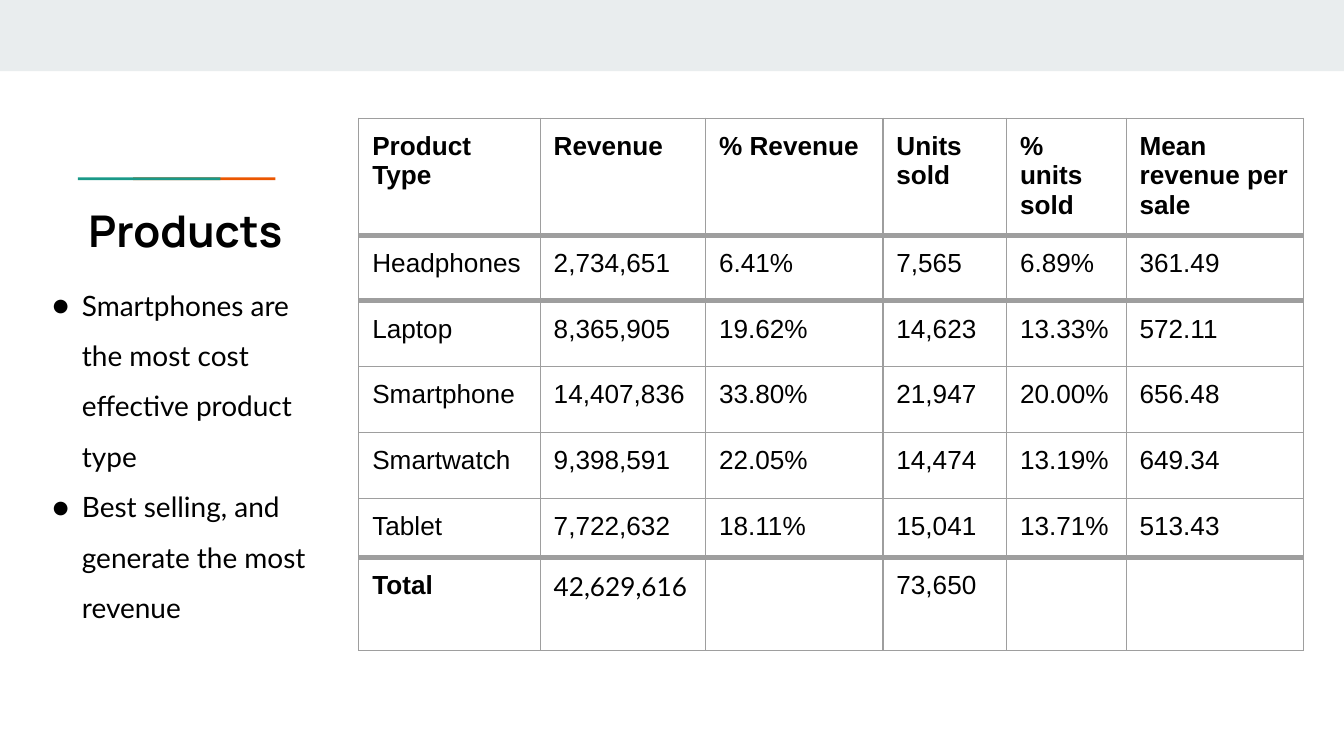
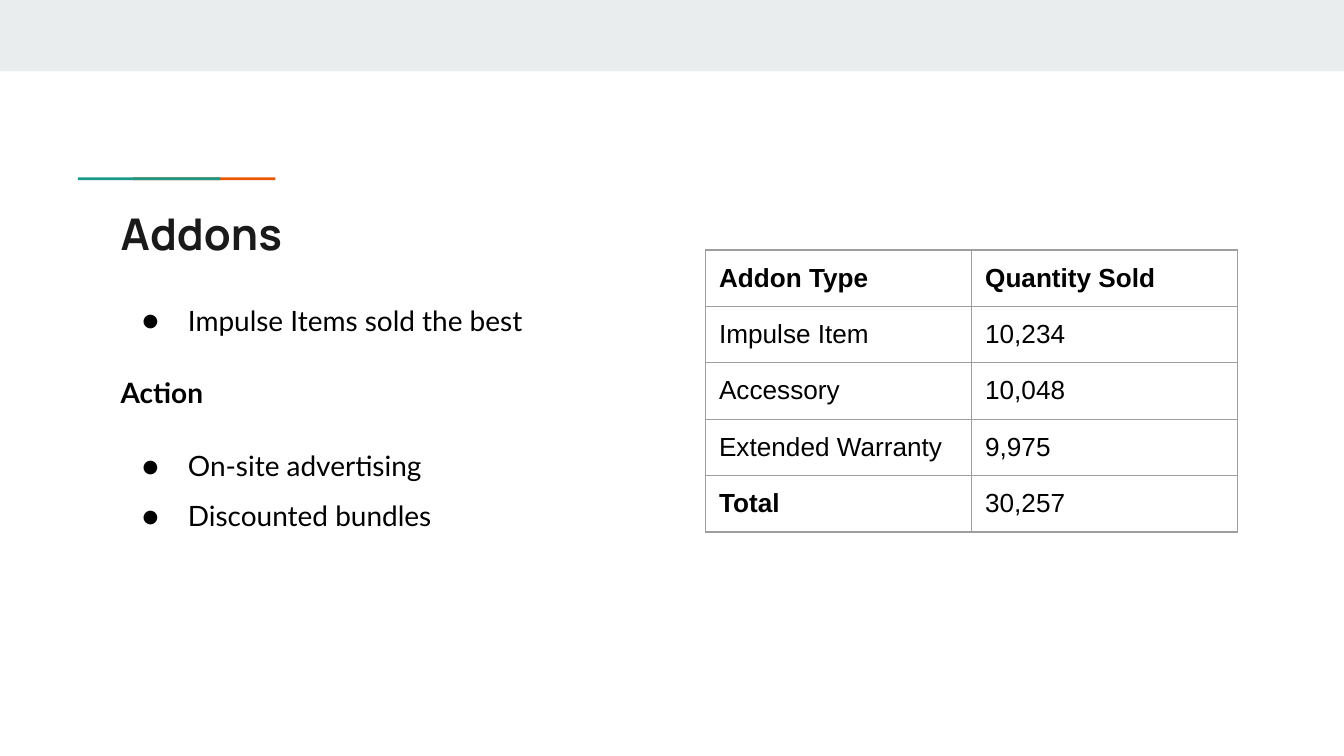
from lxml import etree
from pptx import Presentation
from pptx.dml.color import RGBColor
from pptx.enum import shapes, text
from pptx.oxml import ns
from pptx.util import Inches, Pt

BLACK = RGBColor(0x00, 0x00, 0x00)
INK = RGBColor(0x1A, 0x1A, 0x1A)
BAND = RGBColor(0xE9, 0xED, 0xEE)
TEAL = RGBColor(0x1A, 0x99, 0x88)
ORANGE = RGBColor(0xEB, 0x56, 0x00)
GRID = RGBColor(0x9E, 0x9E, 0x9E)
HEAD, BODY, CELL = "Manrope", "Lato", "Arial"
THIN, THICK = 0.75, 3

SALES = [
    ["Product Type", "Revenue", "% Revenue", "Units sold", "% units sold",
     "Mean revenue per sale"],
    ["Headphones", "2,734,651", "6.41%", "7,565", "6.89%", "361.49"],
    ["Laptop", "8,365,905", "19.62%", "14,623", "13.33%", "572.11"],
    ["Smartphone", "14,407,836", "33.80%", "21,947", "20.00%", "656.48"],
    ["Smartwatch", "9,398,591", "22.05%", "14,474", "13.19%", "649.34"],
    ["Tablet", "7,722,632", "18.11%", "15,041", "13.71%", "513.43"],
    ["Total", "42,629,616", "", "73,650", "", ""],
]
ADDONS = [
    ["Addon Type", "Quantity Sold"],
    ["Impulse Item", "10,234"],
    ["Accessory", "10,048"],
    ["Extended Warranty", "9,975"],
    ["Total", "30,257"],
]


def add(parent, tag, **attrs):
    return etree.SubElement(parent, ns.qn(tag), **attrs)


class Deck:
    def __init__(self):
        self.prs = Presentation()
        self.prs.slide_width = Inches(10)
        self.prs.slide_height = Inches(10) * 9 // 16
        self.slide = None

    def page(self):
        self.slide = self.prs.slides.add_slide(self.prs.slide_layouts[6])
        self.rect(0, 0, 10, 0.53, BAND)
        self.rect(0.99, 1.32, 1.06, 0.02, ORANGE)
        self.rect(0.58, 1.32, 1.06, 0.02, TEAL)

    def rect(self, left, top, width, height, color):
        box = self.slide.shapes.add_shape(
            shapes.MSO_SHAPE.RECTANGLE,
            Inches(left), Inches(top), Inches(width), Inches(height))
        box.shadow.inherit = False
        box.fill.solid()
        box.fill.fore_color.rgb = color
        box.line.fill.background()

    def style(self, para, font, size, bold=False, color=BLACK):
        for run in para.runs:
            run.font.name = font
            run.font.size = Pt(size)
            run.font.bold = bold
            run.font.color.rgb = color

    def frame(self, left, top, width, height, inset=0.1):
        box = self.slide.shapes.add_textbox(
            Inches(left), Inches(top), Inches(width), Inches(height))
        frame = box.text_frame
        frame.word_wrap = True
        frame.auto_size = text.MSO_AUTO_SIZE.NONE
        frame.vertical_anchor = text.MSO_ANCHOR.TOP
        frame.margin_left = frame.margin_top = Inches(inset)
        frame.margin_right = frame.margin_bottom = Inches(0.1)
        return frame

    def title(self, words, left, top, color):
        frame = self.frame(left, top, 8.41, 0.59)
        frame.text = words
        self.style(frame.paragraphs[0], HEAD, 23.4, True, color)

    def bullet(self, para, margin, indent):
        props = para._p.get_or_add_pPr()
        props.set("marL", str(Inches(margin)))
        props.set("indent", str(Inches(indent)))
        tint = add(props, "a:buClr")
        add(tint, "a:srgbClr", val=str(BLACK))
        add(props, "a:buFont", typeface=BODY)
        add(props, "a:buChar", char="●")

    def body(self, place, items, margin, indent, inset=0.1):
        frame = self.frame(*place, inset)
        frame.text = "\n".join(words for words, *_ in items)
        for para, (_, listed, gap) in zip(frame.paragraphs, items):
            if listed:
                self.bullet(para, margin, indent)
            para.line_spacing = 1.5
            para.space_before = Pt(gap)
            self.style(para, BODY, 15, not listed)

    def border(self, cell, above, below):
        props = cell._tc.get_or_add_tcPr()
        for side, width in zip("LRTB", (THIN, THIN, above, below)):
            line = add(props, f"a:ln{side}", w=str(Pt(width)))
            fill = add(line, "a:solidFill")
            add(fill, "a:srgbClr", val=str(GRID))

    def table(self, left, top, cols, rows, data, thick=()):
        table = self.slide.shapes.add_table(
            len(rows), len(cols), Inches(left), Inches(top),
            Inches(sum(cols)), Inches(sum(rows))).table
        table.first_row = table.horz_banding = False
        for col, width in zip(table.columns, cols):
            col.width = Inches(width)
        for r, (row, height) in enumerate(zip(table.rows, rows)):
            row.height = Inches(height)
            above, below = (THICK if n in thick else THIN for n in (r, r + 1))
            for c, cell in enumerate(row.cells):
                cell.text = data[r][c]
                cell.margin_left = cell.margin_right = Inches(0.1)
                cell.margin_top = cell.margin_bottom = Inches(0.1)
                bold = r == 0 or (c == 0 and data[r][0] == "Total")
                self.style(cell.text_frame.paragraphs[0], CELL, 14, bold)
                self.border(cell, above, below)
                cell.fill.background()
        return table


def main():
    deck = Deck()

    deck.page()
    deck.title("Products", 0.56, 1.42, BLACK)
    deck.body((0.32, 2, 2.14, 3.21), [
        ("Smartphones are the most cost effective product type", True, 0),
        ("Best selling, and generate the most revenue", True, 0),
    ], 0.27, -0.22, 0.02)
    sales = deck.table(
        2.67, 0.88, [1.35, 1.23, 1.32, 0.92, 0.89, 1.32],
        [0.87] + [0.49] * 4 + [0.44, 0.69], SALES, thick=(1, 2, 6))
    total = sales.cell(6, 1).text_frame.paragraphs[0]
    total.space_after = Pt(12)
    deck.style(total, BODY, 14)

    deck.page()
    deck.title("Addons", 0.8, 1.44, INK)
    deck.body((0.8, 2.03, 4.26, 3.09), [
        ("Impulse Items sold the best", True, 0),
        ("Action", False, 12),
        ("On-site advertising", True, 12),
        ("Discounted bundles", True, 0),
    ], 0.5, -0.34)
    deck.table(5.25, 1.86, [1.98] * 2, [0.42] * 5, ADDONS)

    deck.prs.save("out.pptx")


if __name__ == "__main__":
    main()
